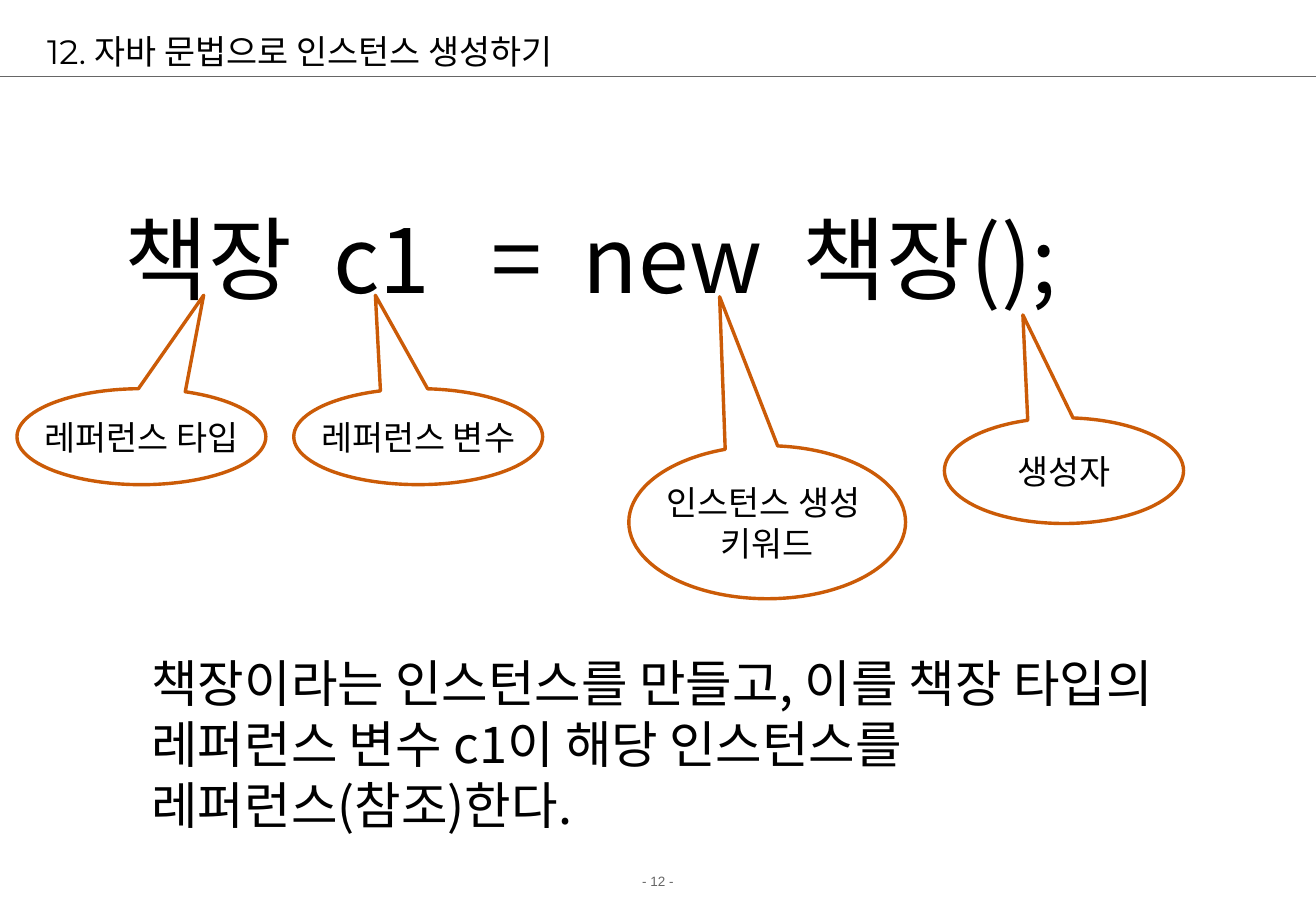
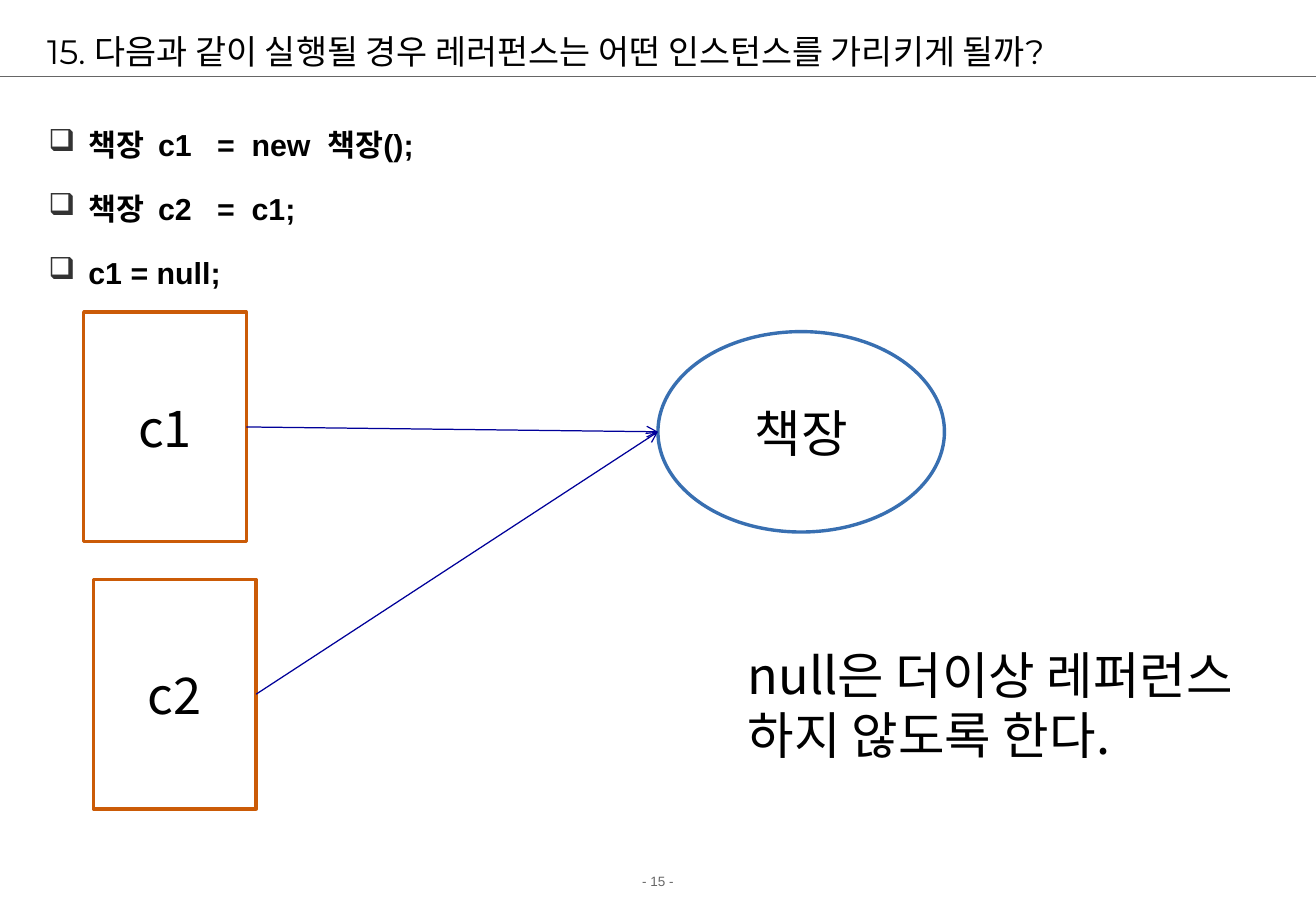
from lxml import etree
from pptx import Presentation
from pptx.dml.color import RGBColor
from pptx.enum.shapes import MSO_CONNECTOR, MSO_SHAPE
from pptx.enum.text import MSO_ANCHOR, PP_ALIGN
from pptx.oxml.ns import qn
from pptx.util import Inches, Pt

STRAIGHT = MSO_CONNECTOR.STRAIGHT
CALLOUT, OVAL, RECTANGLE = (
    MSO_SHAPE.OVAL_CALLOUT, MSO_SHAPE.OVAL, MSO_SHAPE.RECTANGLE)
TOP, MIDDLE = MSO_ANCHOR.TOP, MSO_ANCHOR.MIDDLE
LEFT, CENTER = PP_ALIGN.LEFT, PP_ALIGN.CENTER

BLACK = RGBColor(0x00, 0x00, 0x00)
WHITE = RGBColor(0xFF, 0xFF, 0xFF)
GRAY = RGBColor(0x66, 0x66, 0x66)
BULLET_GRAY = RGBColor(0x33, 0x33, 0x33)
ORANGE = RGBColor(0xCB, 0x5B, 0x07)
BLUE = RGBColor(0x38, 0x6F, 0xB1)
NAVY = RGBColor(0x00, 0x00, 0x99)

KOREAN_FONT = "Noto Sans CJK KR"
TITLE_FONT = "Montserrat"
PLAIN_FONT = "Arial"
SLIDE_WIDTH, SLIDE_HEIGHT = 10.84, 7.5
RULE_Y = 0.63

SYNTAX_TITLE = "12. 자바 문법으로 인스턴스 생성하기"
SYNTAX_CODE = "책장  c1   =  new  책장();"
SYNTAX_CALLOUTS = [
    (["레퍼런스 타입"], (0.14, 3.2, 2.05, 0.79), 0.25),
    (["레퍼런스 변수"], (2.42, 3.2, 2.05, 0.79), -0.172),
    (["인스턴스 생성 ", "키워드"], (5.18, 3.67, 2.28, 1.26), -0.172),
    (["생성자"], (7.78, 3.44, 1.97, 0.87), -0.172),
]
POINTER_Y = -1.474
SYNTAX_SUMMARY = [
    "책장이라는 인스턴스를 만들고, 이를 책장 타입의",
    "레퍼런스 변수 c1이 해당 인스턴스를",
    "레퍼런스(참조)한다.",
]

NULL_TITLE = "15. 다음과 같이 실행될 경우 레러펀스는 어떤 인스턴스를 가리키게 될까?"
NULL_CODE = [SYNTAX_CODE, "책장  c2   =  c1;", "c1 = null;"]
INSTANCE = ("책장", (5.42, 2.73, 2.36, 1.65))
REFERENCES = [
    ("c1", (0.69, 2.57, 1.34, 1.89)),
    ("c2", (0.77, 4.77, 1.34, 1.89)),
]
NULL_SUMMARY = ["null은 더이상 레퍼런스", "하지 않도록 한다."]


def write(frame, lines, size, font=KOREAN_FONT, color=BLACK, bold=False,
          align=LEFT, anchor=TOP, wrap=False, margins=(0.1, 0.05)):
    frame.word_wrap = wrap
    frame.vertical_anchor = anchor
    frame.margin_left = frame.margin_right = Inches(margins[0])
    frame.margin_top = frame.margin_bottom = Inches(margins[1])
    for number, line in enumerate(lines):
        paragraph = frame.add_paragraph() if number else frame.paragraphs[0]
        paragraph.alignment = align
        run = paragraph.add_run()
        run.text = line
        run.font.size = Pt(size)
        run.font.name = font
        run.font.bold = bold
        run.font.color.rgb = color
        east_asian = etree.SubElement(run.font._element, qn("a:ea"))
        east_asian.set("typeface", KOREAN_FONT)


def add_text(slide, box, lines, size, **style):
    frame = slide.shapes.add_textbox(*map(Inches, box)).text_frame
    write(frame, lines, size, **style)
    return frame


def add_outlined(slide, kind, box, lines, size, color):
    shape = slide.shapes.add_shape(kind, *map(Inches, box))
    shape.shadow.inherit = False
    shape.fill.solid()
    shape.fill.fore_color.rgb = WHITE
    shape.line.color.rgb = color
    shape.line.width = Pt(2)
    write(shape.text_frame, lines, size, align=CENTER, anchor=MIDDLE,
          margins=(0, 0))
    return shape


def add_line(slide, start, end, color):
    line = slide.shapes.add_connector(
        STRAIGHT, *(Inches(value) for value in (*start, *end)))
    line.line.color.rgb = color
    line.line.width = Pt(0.75)
    etree.SubElement(line._element.spPr, qn("a:effectLst"))
    return line


def add_bullet(paragraph):
    paragraph.line_spacing = 1.5
    paragraph.space_before = Pt(5.6)
    properties = paragraph._p.get_or_add_pPr()
    properties.set("marL", str(Inches(0.33)))
    properties.set("indent", str(-Inches(0.33)))
    bullet_color = etree.SubElement(properties, qn("a:buClr"))
    etree.SubElement(bullet_color, qn("a:srgbClr")).set("val", str(BULLET_GRAY))
    etree.SubElement(properties, qn("a:buChar")).set("char", "❑")


def add_page(deck, title, page_number):
    slide = deck.slides.add_slide(deck.slide_layouts[6])
    footer = add_text(slide, (0, 7.14, SLIDE_WIDTH, 0.24),
                      [f"- {page_number} -"], 8, font=PLAIN_FONT, color=GRAY,
                      align=CENTER, wrap=True)
    footer.paragraphs[0].space_before = Pt(5)
    add_line(slide, (0, RULE_Y), (SLIDE_WIDTH, RULE_Y), GRAY)
    add_text(slide, (0.29, 0.21, 10.17, 0.42), [title], 20, font=TITLE_FONT,
             anchor=MIDDLE, wrap=True)
    return slide


def build_syntax(deck):
    slide = add_page(deck, SYNTAX_TITLE, 12)
    add_text(slide, (0.93, 1.62, 8.75, 1), [SYNTAX_CODE], 54)
    for lines, box, pointer_x in SYNTAX_CALLOUTS:
        callout = add_outlined(slide, CALLOUT, box, lines, 20, ORANGE)
        callout.adjustments[0] = pointer_x
        callout.adjustments[1] = POINTER_Y
    add_text(slide, (1.15, 5.32, 8.86, 1.6), SYNTAX_SUMMARY, 30)


def build_null(deck):
    slide = add_page(deck, NULL_TITLE, 15)
    code = add_text(slide, (0.3, 0.84, 10.17, 5.75), NULL_CODE, 18,
                    font=PLAIN_FONT, bold=True, wrap=True)
    for paragraph in code.paragraphs:
        add_bullet(paragraph)

    name, instance_box = INSTANCE
    add_outlined(slide, OVAL, instance_box, [name], 30, BLUE)
    left, top, _, height = instance_box
    target = (left, top + height / 2)
    for name, box in REFERENCES:
        reference = add_outlined(slide, RECTANGLE, box, [name], 30, ORANGE)
        arrow = add_line(slide, box[:2], target, NAVY)
        arrow.begin_connect(reference, 3)
        head = etree.SubElement(arrow.line._get_or_add_ln(), qn("a:tailEnd"))
        head.set("type", "arrow")
    add_text(slide, (6.06, 5.25, 4.39, 1.1), NULL_SUMMARY, 30)


def main():
    deck = Presentation()
    deck.slide_width = Inches(SLIDE_WIDTH)
    deck.slide_height = Inches(SLIDE_HEIGHT)
    build_syntax(deck)
    build_null(deck)
    deck.save("out.pptx")


if __name__ == "__main__":
    main()
